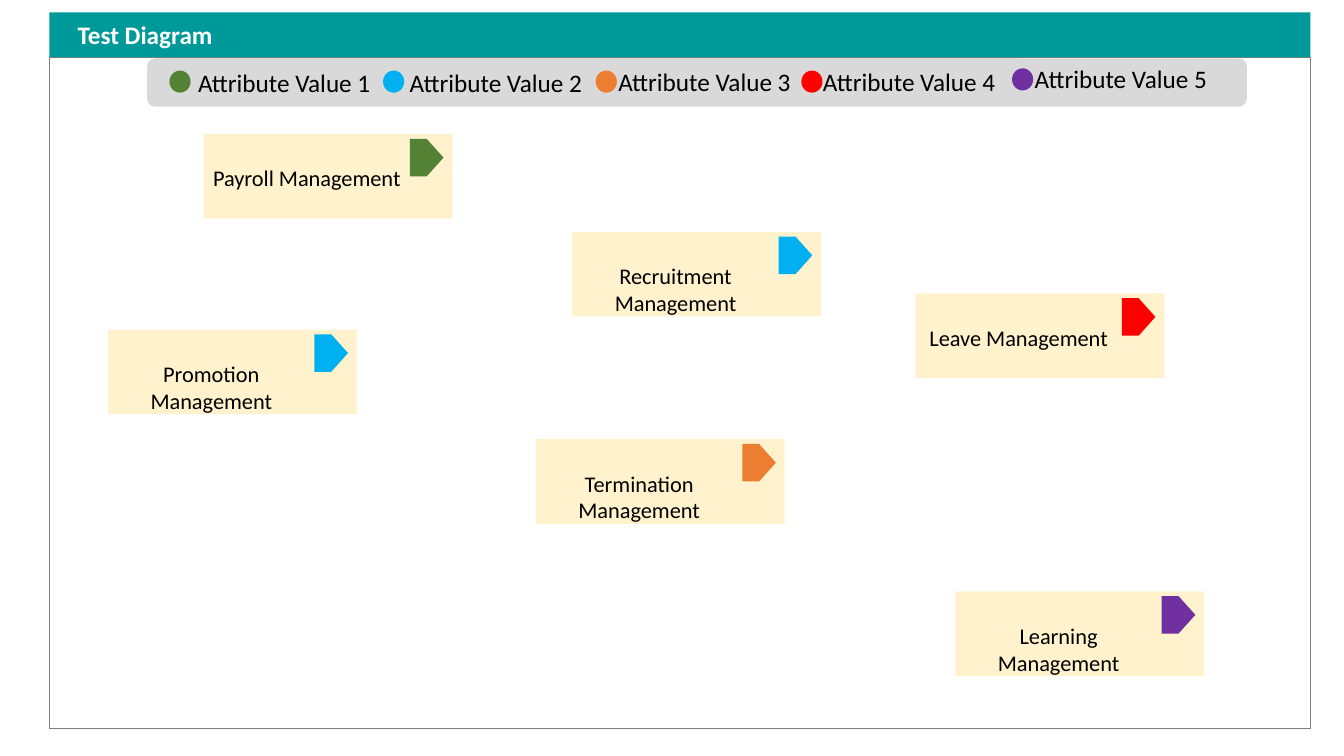
from dataclasses import dataclass

from pptx import Presentation
from pptx.dml.color import RGBColor
from pptx.enum.shapes import MSO_SHAPE
from pptx.enum.text import MSO_ANCHOR, MSO_AUTO_SIZE, PP_ALIGN
from pptx.shapes.autoshape import Shape
from pptx.shapes.shapetree import GroupShapes, SlideShapes
from pptx.text.text import TextFrame
from pptx.util import Pt

COLOURS = {
    "teal": "009999",
    "frame": "808080",
    "legend": "D9D9D9",
    "card": "FFF2CC",
    "black": "000000",
    "white": "FFFFFF",
    "green": "548235",
    "blue": "00B0F0",
    "orange": "ED7D31",
    "red": "FF0000",
    "purple": "7030A0",
}
FONT = "Calibri"
Shapes = SlideShapes | GroupShapes


@dataclass
class LegendEntry:
    colour: str
    dot_left: float
    label_left: float
    label_top: float
    dot_top: float = 50.4


@dataclass
class Card:
    text: str
    colour: str
    left: float
    top: float
    lines: int = 2


LEGEND = [
    LegendEntry("green", 121, 133.2, 44.6),
    LegendEntry("blue", 273.6, 284.4, 44.6),
    LegendEntry("orange", 425.5, 433.4, 43.9),
    LegendEntry("red", 572.4, 579.6, 43.9),
    LegendEntry("purple", 722.9, 730.8, 42, dot_top=48.8),
]
CARDS = [
    Card("Payroll Management", "green", 145.4, 95.8, lines=1),
    Card("Recruitment Management", "blue", 408.8, 165.6),
    Card("Termination Management", "orange", 382.8, 313.7),
    Card("Leave Management", "red", 653.9, 209.6, lines=1),
    Card("Promotion Management", "blue", 77.2, 235.4),
    Card("Learning Management", "purple", 682.4, 422.4),
]


def colour_of(name: str) -> RGBColor:
    return RGBColor.from_string(COLOURS[name])


def add_block(shapes: Shapes, kind: MSO_SHAPE, left: float, top: float, width: float,
              height: float, fill: str | None = None, line: str | None = None) -> Shape:
    block = shapes.add_shape(kind, Pt(left), Pt(top), Pt(width), Pt(height))
    block.shadow.inherit = False
    if fill:
        block.fill.solid()
        block.fill.fore_color.rgb = colour_of(fill)
    else:
        block.fill.background()
    if line:
        block.line.color.rgb = colour_of(line)
        block.line.width = Pt(1)
    else:
        block.line.fill.background()
    return block


def write_text(frame: TextFrame, text: str, *, size: float, colour: str = "black",
               bold: bool = False, align: PP_ALIGN = PP_ALIGN.CENTER,
               wrap: bool = True) -> None:
    frame.word_wrap = wrap
    frame.auto_size = MSO_AUTO_SIZE.SHAPE_TO_FIT_TEXT
    frame.vertical_anchor = MSO_ANCHOR.TOP
    para = frame.paragraphs[0]
    para.alignment = align
    span = para.add_run()
    span.text = text
    span.font.name = FONT
    span.font.size = Pt(size)
    span.font.bold = bold
    span.font.color.rgb = colour_of(colour)


def add_card(shapes: Shapes, card: Card) -> None:
    group = shapes.add_group_shape().shapes
    add_block(group, MSO_SHAPE.RECTANGLE, card.left, card.top, 177.8, 60.5, fill=card.colour and "card")
    add_block(group, MSO_SHAPE.PENTAGON, card.left + 147.4, card.top + 3.4, 24, 26.8,
              fill=card.colour)
    box = group.add_textbox(Pt(card.left - 4.3), Pt(card.top + 18.2),
                            Pt(156.2), Pt(7.2 + 19.4 * card.lines))
    write_text(box.text_frame, card.text, size=16)


def add_legend_entry(shapes: Shapes, number: int, entry: LegendEntry) -> None:
    group = shapes.add_group_shape().shapes
    box = group.add_textbox(Pt(entry.label_left), Pt(entry.label_top), Pt(139.7), Pt(29))
    write_text(box.text_frame, f"Attribute Value {number}", size=18, wrap=False)
    add_block(group, MSO_SHAPE.FLOWCHART_CONNECTOR, entry.dot_left, entry.dot_top,
              15.1, 15.8, fill=entry.colour)


def add_title(shapes: SlideShapes) -> None:
    """Place the title placeholder in front of its banner."""
    banner = add_block(shapes, MSO_SHAPE.RECTANGLE, 35.3, 8.8, 900.7, 32, fill="teal")
    title = shapes.title
    title.left, title.top, title.width, title.height = Pt(48.2), Pt(10.1), Pt(185.8), Pt(29)
    write_text(title.text_frame, "Test Diagram", size=18, colour="white", bold=True,
               align=PP_ALIGN.LEFT)
    banner.element.addnext(title.element)


def main() -> None:
    deck = Presentation()
    deck.slide_width, deck.slide_height = Pt(960), Pt(540)
    page = deck.slides.add_slide(deck.slide_layouts[5])
    shapes = page.shapes

    add_block(shapes, MSO_SHAPE.RECTANGLE, 35.3, 41, 900.7, 479.5, line="frame")
    add_block(shapes, MSO_SHAPE.ROUNDED_RECTANGLE, 105.1, 41.6, 785.5, 34.6, fill="legend")
    for number, entry in enumerate(LEGEND, start=1):
        add_legend_entry(shapes, number, entry)
    add_title(shapes)
    for card in CARDS:
        add_card(shapes, card)

    deck.save("out.pptx")


if __name__ == "__main__":
    main()
